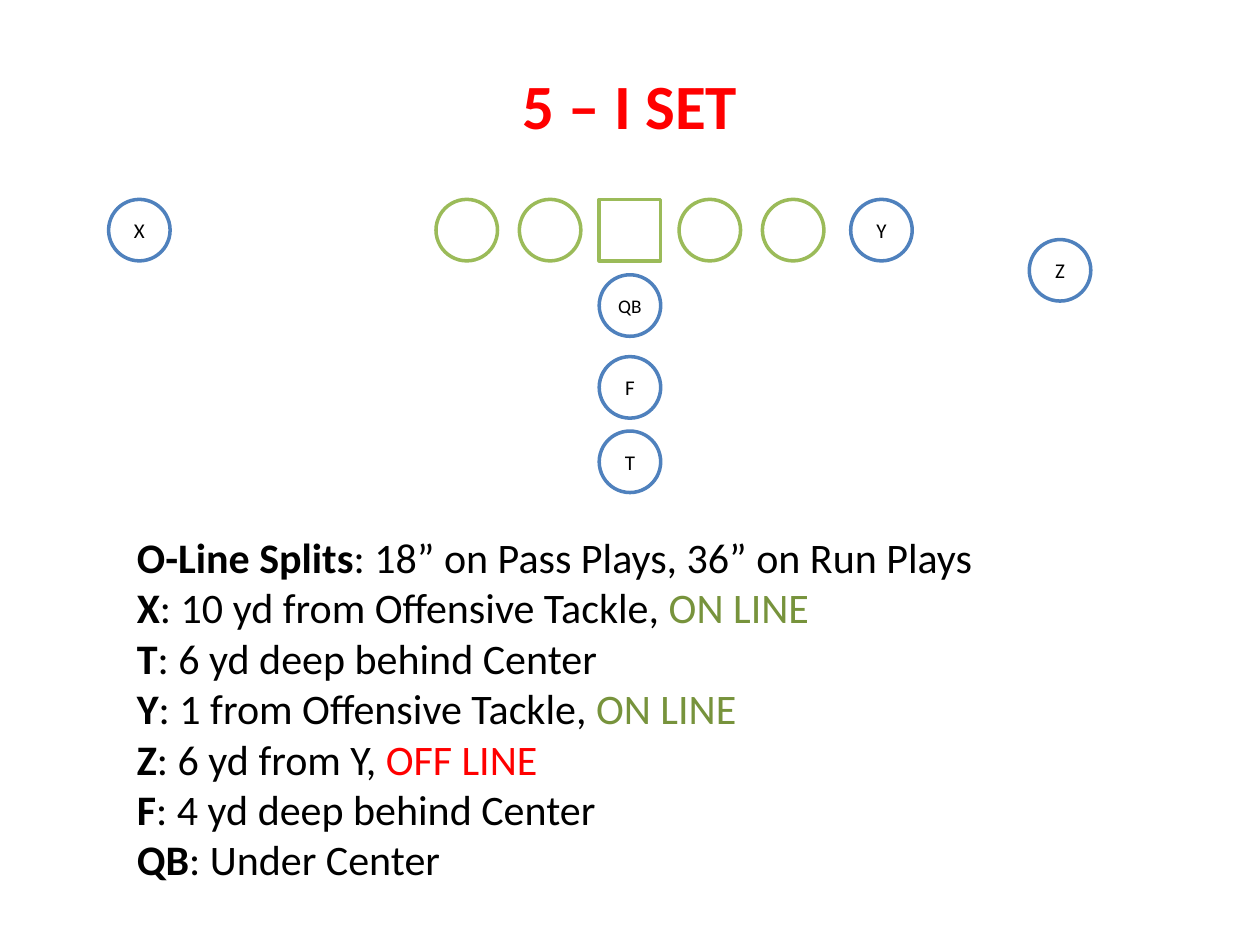
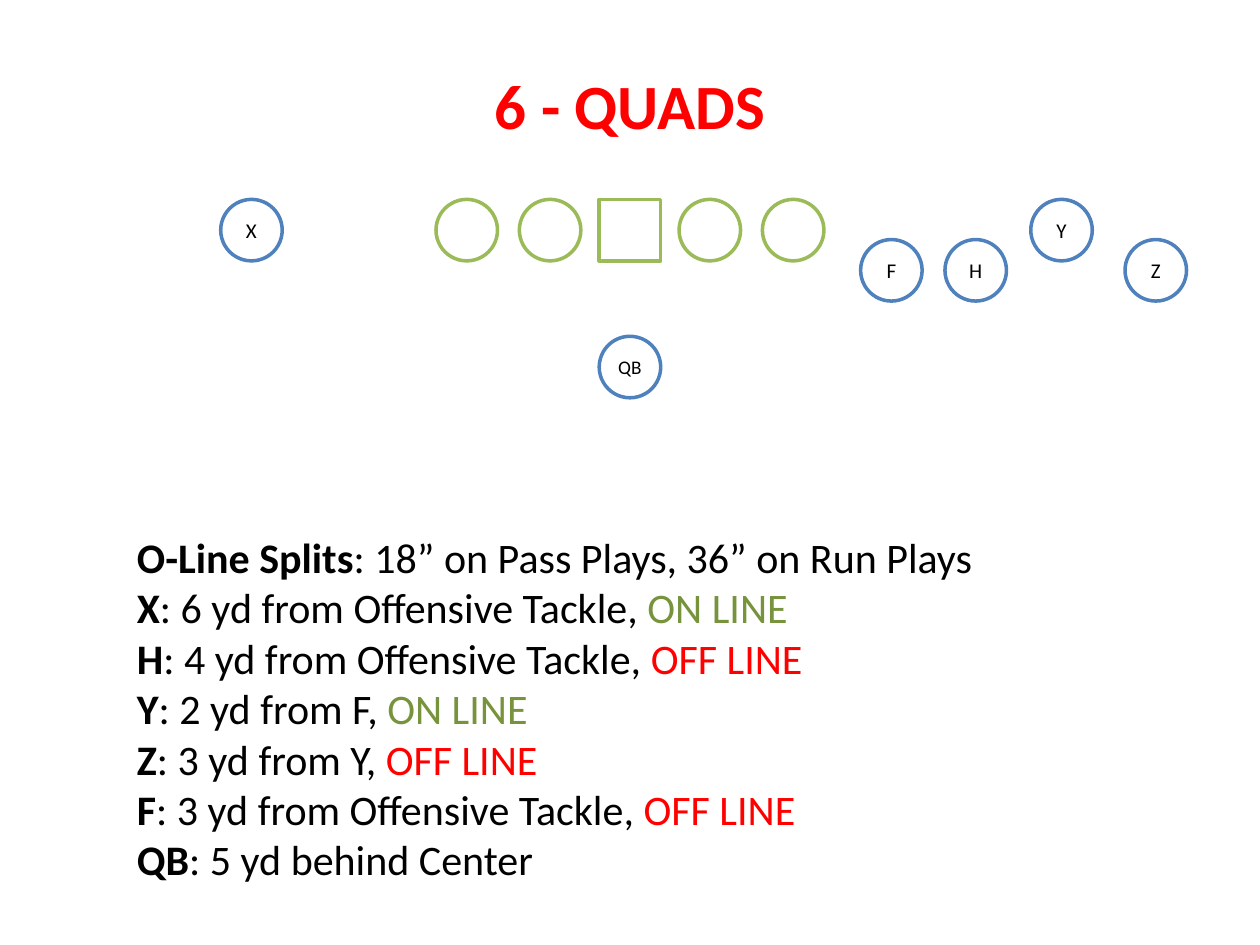
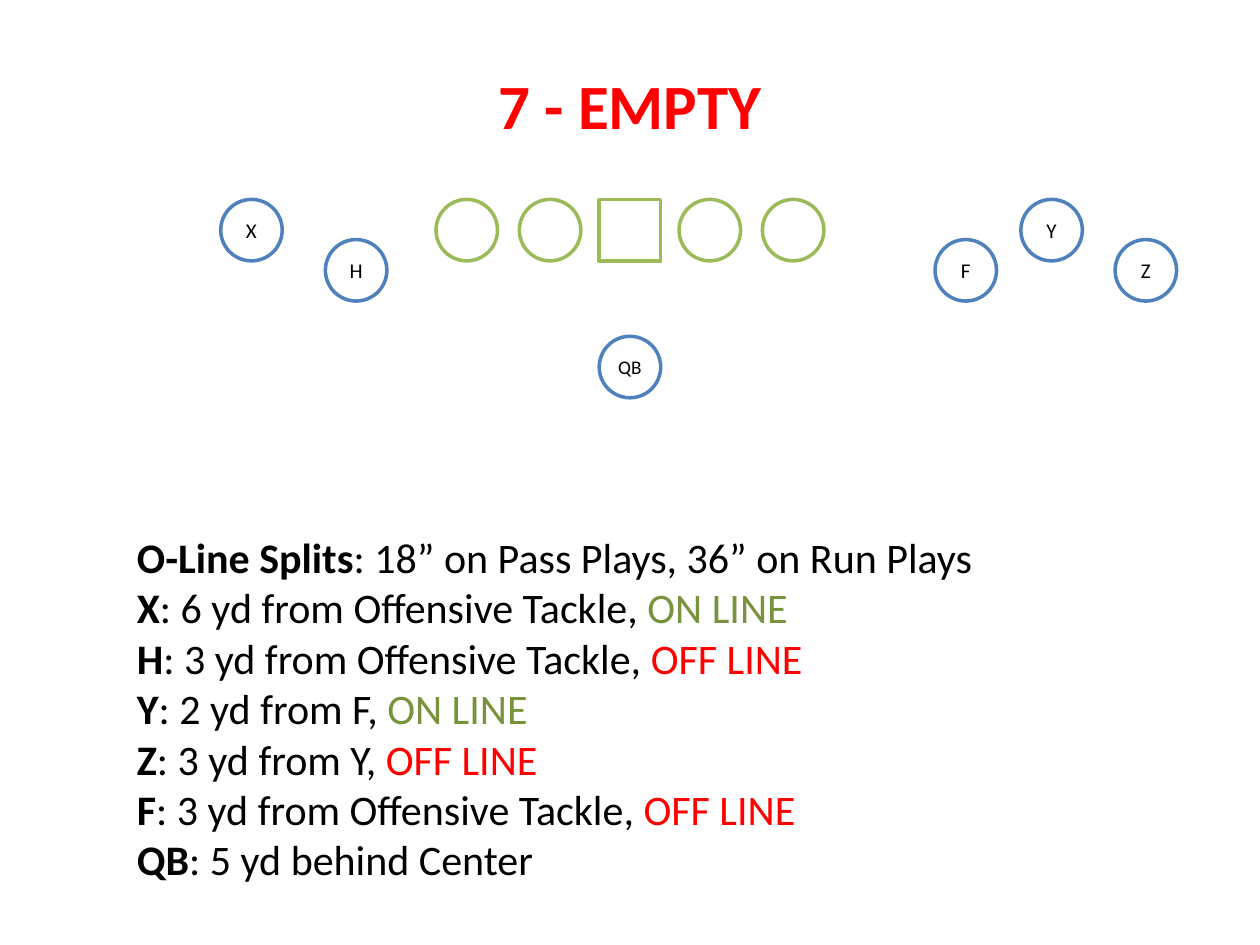
"""Build three football formation slides with a player diagram and alignment notes."""
from dataclasses import dataclass

from pptx import Presentation
from pptx.dml.color import RGBColor
from pptx.enum.shapes import MSO_SHAPE
from pptx.enum.text import MSO_ANCHOR, MSO_AUTO_SIZE, PP_ALIGN
from pptx.slide import Slide
from pptx.text.text import Font
from pptx.util import Cm, Pt

FONT = "Calibri"
BLACK, WHITE, RED = "000000", "FFFFFF", "FF0000"
SKILL_BLUE, LINE_GREEN, ON_GREEN = "4F81BD", "9BBB59", "77933C"

PLAYER_SIZE = 1.24
CENTER_X = 12.7
ON_Y, OFF_Y, SHOTGUN_Y = 4.64, 5.45, 7.4
GUARD_GAP, TACKLE_GAP = 1.61, 3.29
ON, OFF = "ON LINE", "OFF LINE"
SPOT_COLORS = {ON: ON_GREEN, OFF: RED}


@dataclass(frozen=True)
class Player:
    """A player marked by its centre point in centimetres."""
    label: str
    x: float
    y: float
    outline: str = SKILL_BLUE
    outline_shape: MSO_SHAPE = MSO_SHAPE.OVAL


@dataclass(frozen=True)
class Duty:
    """Where a role lines up, and whether that is on the line."""
    role: str
    alignment: str
    spot: str = ""


@dataclass(frozen=True)
class Formation:
    """One slide: its title, skill players and their duties."""
    title: str
    players: tuple[Player, ...]
    duties: tuple[Duty, ...]


OFFENSIVE_LINE = (
    Player("", CENTER_X, ON_Y, LINE_GREEN, MSO_SHAPE.RECTANGLE),
    *(Player("", CENTER_X + gap, ON_Y, LINE_GREEN)
      for gap in (GUARD_GAP, TACKLE_GAP, -TACKLE_GAP, -GUARD_GAP)),
)
SPLITS = Duty("O-Line Splits", "18” on Pass Plays, 36” on Run Plays ")
SHOTGUN = Player("QB", CENTER_X, SHOTGUN_Y)
SLOT_X = Player("X", 5.07, ON_Y)


def spread_duties(h_yards: int) -> tuple[Duty, ...]:
    """Return the duties shared by the shotgun formations."""
    return (
        Duty("X", "6 yd from Offensive Tackle, ", ON),
        Duty("H", f"{h_yards} yd from Offensive Tackle, ", OFF),
        Duty("Y", "2 yd from F, ", ON),
        Duty("Z", "3 yd from Y, ", OFF),
        Duty("F", "3 yd from Offensive Tackle, ", OFF),
        Duty("QB", "5 yd behind Center"),
    )


FORMATIONS = (
    Formation(
        "5 – I SET",
        (Player("X", 2.81, ON_Y), Player("F", CENTER_X, 7.81),
         Player("T", CENTER_X, 9.31), Player("Y", 17.77, ON_Y),
         Player("Z", 21.37, OFF_Y), Player("QB", CENTER_X, 6.16)),
        (Duty("X", "10 yd from Offensive Tackle, ", ON),
         Duty("T", "6 yd deep behind Center"),
         Duty("Y", "1 from Offensive Tackle, ", ON),
         Duty("Z", "6 yd from Y, ", OFF),
         Duty("F", "4 yd deep behind Center"),
         Duty("QB", "Under Center")),
    ),
    Formation(
        "6 - QUADS",
        (SLOT_X, Player("H", 19.67, OFF_Y), Player("F", 17.97, OFF_Y),
         Player("Y", 21.4, ON_Y), Player("Z", 23.3, OFF_Y), SHOTGUN),
        spread_duties(h_yards=4),
    ),
    Formation(
        "7 - EMPTY",
        (SLOT_X, Player("F", 19.47, OFF_Y), Player("H", 7.18, OFF_Y),
         Player("Y", 21.2, ON_Y), Player("Z", 23.1, OFF_Y), SHOTGUN),
        spread_duties(h_yards=3),
    ),
)


def rgb(color: str) -> RGBColor:
    """Turn a hex string into a colour."""
    return RGBColor.from_string(color)


def style_font(font: Font, size: float, color: str = BLACK, bold: bool = False) -> None:
    """Apply the deck's typeface with a size, colour and weight."""
    font.name = FONT
    font.size = Pt(size)
    font.bold = bold
    font.color.rgb = rgb(color)


def draw_title(slide: Slide, wording: str) -> None:
    """Place and format the title placeholder."""
    title = slide.shapes.title
    title.left, title.top, title.width, title.height = Cm(8.79), Cm(1.22), Cm(7.82), Cm(1.8)
    title.text_frame.text = wording
    title.text_frame.vertical_anchor = MSO_ANCHOR.TOP
    title.text_frame.auto_size = MSO_AUTO_SIZE.SHAPE_TO_FIT_TEXT
    heading = title.text_frame.paragraphs[0]
    heading.alignment = PP_ALIGN.CENTER
    style_font(heading.font, 36, RED, bold=True)


def draw_player(slide: Slide, player: Player) -> None:
    """Draw one player marker with its label, if any."""
    marker = slide.shapes.add_shape(
        player.outline_shape, Cm(player.x - PLAYER_SIZE / 2), Cm(player.y - PLAYER_SIZE / 2),
        Cm(PLAYER_SIZE), Cm(PLAYER_SIZE))
    marker.shadow.inherit = False
    marker.fill.solid()
    marker.fill.fore_color.rgb = rgb(WHITE)
    marker.line.color.rgb = rgb(player.outline)
    marker.line.width = Pt(2)
    if not player.label:
        return
    frame = marker.text_frame
    frame.text = player.label
    frame.vertical_anchor = MSO_ANCHOR.MIDDLE
    is_wide = len(player.label) > 1
    if is_wide:
        frame.margin_left = frame.margin_right = 0
    label = frame.paragraphs[0]
    label.alignment = PP_ALIGN.CENTER
    style_font(label.font, 11 if is_wide else 12)


def draw_duties(slide: Slide, duties: tuple[Duty, ...]) -> None:
    """List the duties below the diagram, one paragraph each."""
    frame = slide.shapes.add_textbox(Cm(2.51), Cm(10.59), Cm(21.6), Cm(7.62)).text_frame
    frame.word_wrap = True
    frame.auto_size = MSO_AUTO_SIZE.SHAPE_TO_FIT_TEXT
    for index, duty in enumerate(duties):
        entry = frame.add_paragraph() if index else frame.paragraphs[0]
        style_font(entry.font, 24)
        role = entry.add_run()
        role.text = duty.role
        role.font.bold = True
        entry.add_run().text = f": {duty.alignment}"
        if duty.spot:
            spot = entry.add_run()
            spot.text = duty.spot
            spot.font.color.rgb = rgb(SPOT_COLORS[duty.spot])


def main() -> None:
    """Build and save the deck."""
    deck = Presentation()
    deck.slide_width, deck.slide_height = Cm(25.4), Cm(19.05)
    title_only = deck.slide_layouts.get_by_name("Title Only")
    for formation in FORMATIONS:
        slide = deck.slides.add_slide(title_only)
        draw_title(slide, formation.title)
        for player in formation.players + OFFENSIVE_LINE:
            draw_player(slide, player)
        draw_duties(slide, (SPLITS, *formation.duties))
    deck.save("out.pptx")


main()
